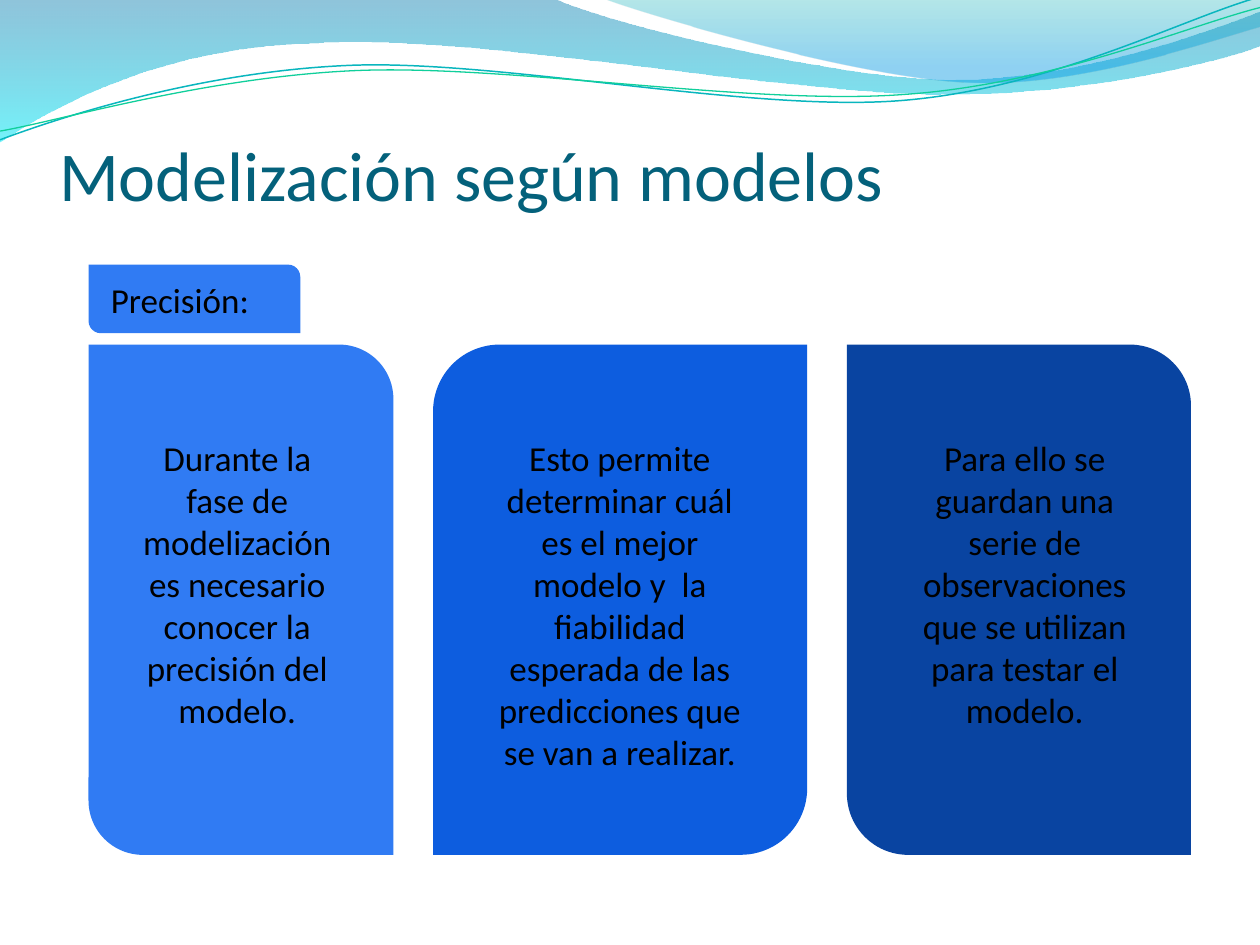
from dataclasses import dataclass

from lxml import etree
from pptx import Presentation
from pptx.dml.color import RGBColor
from pptx.enum.shapes import MSO_SHAPE as Preset
from pptx.enum.text import MSO_ANCHOR as Anchor, PP_ALIGN as Align
from pptx.oxml.ns import qn
from pptx.util import Pt

FONT = "Calibri"
TITLE_TEAL = RGBColor(0x04, 0x61, 0x7B)
BLACK = RGBColor(0, 0, 0)
LIGHT_BLUE = RGBColor(0x30, 0x7B, 0xF3)
MID_BLUE = RGBColor(0x0D, 0x5D, 0xDF)
DARK_BLUE = RGBColor(0x09, 0x44, 0xA1)
DEEP_SEA = RGBColor(0x00, 0x79, 0xAD)
CYAN = RGBColor(0x00, 0xE9, 0xF7)
LAGOON = RGBColor(0x00, 0xAB, 0xB4)
SKY = RGBColor(0x00, 0x99, 0xE4)
TEAL_LINE = RGBColor(0x09, 0xB6, 0xBE)
GREEN_LINE = RGBColor(0x10, 0xCF, 0x9B)

CORNER = 0.178
PANEL_LEFT, PANEL_TOP, PANEL_HEIGHT, PANEL_GAP = 50.6, 196.9, 291.6, 22.7
PANEL_TEXT_TOP = 242.3
PADDING = (7.2, 7.2, 7.2, 7.2)


@dataclass(frozen=True)
class Stop:
    position: int
    color: RGBColor
    opacity: int


@dataclass(frozen=True)
class Panel:
    width: float
    color: RGBColor
    corners: tuple[float, float]
    text_left: float
    text_width: float
    text_height: float
    text: str


# Outlines in points: a pair is a straight step, six numbers a cubic curve.
BACK_WAVE = [
    (0, 0), (316.8, -0.7),
    (342.7, 12.2, 478.1, 45.4, 545.8, 45.4),
    (614.2, 45.4, 689.8, 18.7, 720, 6.5),
    (720.7, 25.9),
    (707.8, 31.7, 626.4, 54.7, 537.1, 54),
    (447.8, 54, 275, 20.2, 185, 24.5),
    (92.9, 25.9, 33.1, 59.8, -0.7, 81.4),
    (0, 0),
]
FRONT_WAVE = [
    (344.9, -0.7),
    (366.5, 7.9, 491, 44.6, 553.7, 46.8),
    (616.3, 49.7, 691.9, 23, 720, 15.1),
    (720, 0), (344.9, -0.7),
]
TEAL_RIPPLE = [
    (0, 79.9),
    (34.6, 67, 113.8, 41, 199.4, 37.4),
    (284.4, 33.8, 427, 64.1, 513.4, 57.6),
    (599.8, 51.1, 675.4, 10.8, 718.6, -1.4),
]
GREEN_RIPPLE = [
    (0, 74.9),
    (33.8, 69.1, 118.1, 43.9, 203.8, 40.3),
    (290.2, 36.7, 429.8, 60.5, 516.2, 54),
    (601.9, 48.2, 677.5, 15.1, 720, 4.3),
]

PANELS = [
    Panel(174.2, LIGHT_BLUE, (0, CORNER), 70.8, 129.6, 228.2,
          "Durante la fase de modelización es necesario conocer la precisión "
          "del modelo."),
    Panel(213.8, MID_BLUE, (CORNER, 0), 274.3, 159.8, 225.4,
          "Esto permite determinar cuál es el mejor modelo y  la fiabilidad "
          "esperada de las predicciones que se van a realizar."),
    Panel(196.6, DARK_BLUE, (0, CORNER), 506.4, 158.4, 169.9,
          "Para ello se guardan una serie de observaciones que se utilizan "
          "para testar el modelo."),
]


def add_outline(slide, steps: list[tuple], close: bool):
    """Draw the straight steps, then bend those that are cubic curves."""
    start, *ends = [(Pt(step[-2]), Pt(step[-1])) for step in steps]
    builder = slide.shapes.build_freeform(*start)
    builder.add_line_segments(ends, close=close)
    outline = builder.convert_to_shape()
    outline.shadow.inherit = False

    segments = list(outline.element.iter(qn("a:lnTo")))
    for segment, step in zip(segments, steps[1:]):
        if len(step) == 2:
            continue
        segment.tag = qn("a:cubicBezTo")
        for i, (x, y) in enumerate((step[:2], step[2:4])):
            control = etree.Element(qn("a:pt"), x=str(Pt(x) - outline.left),
                                    y=str(Pt(y) - outline.top))
            segment.insert(i, control)
    return outline


def add_wave(slide, steps: list[tuple], stops: list[Stop]) -> None:
    """Draw a closed wave with a translucent top-to-bottom gradient."""
    wave = add_outline(slide, steps, True)
    wave.line.fill.background()
    gradient = etree.Element(qn("a:gradFill"), rotWithShape="1")
    stop_list = etree.SubElement(gradient, qn("a:gsLst"))
    for stop in stops:
        mark = etree.SubElement(stop_list, qn("a:gs"), pos=str(stop.position * 1000))
        color = etree.SubElement(mark, qn("a:srgbClr"), val=str(stop.color))
        etree.SubElement(color, qn("a:alpha"), val=str(stop.opacity * 1000))
    etree.SubElement(gradient, qn("a:lin"), ang="5400000", scaled="0")
    wave.element.spPr.find(qn("a:custGeom")).addnext(gradient)


def add_ripple(slide, steps: list[tuple], color: RGBColor, width: float) -> None:
    ripple = add_outline(slide, steps, False)
    ripple.fill.background()
    ripple.line.color.rgb = color
    ripple.line.width = Pt(width)


def add_block(slide, left: float, top: float, width: float, height: float,
              color: RGBColor, corners: tuple[float, float]) -> None:
    block = slide.shapes.add_shape(Preset.ROUND_2_DIAG_RECTANGLE,
                                   Pt(left), Pt(top), Pt(width), Pt(height))
    block.adjustments[0], block.adjustments[1] = corners
    block.shadow.inherit = False
    block.fill.solid()
    block.fill.fore_color.rgb = color
    block.line.fill.background()


def add_text(slide, left: float, top: float, width: float, height: float,
             text: str, size: float = 20, color: RGBColor = BLACK,
             align: Align = Align.LEFT, anchor: Anchor = Anchor.TOP,
             padding: tuple[float, float, float, float] = PADDING) -> None:
    frame = slide.shapes.add_textbox(Pt(left), Pt(top), Pt(width), Pt(height)).text_frame
    frame.word_wrap = True
    frame.vertical_anchor = anchor
    (frame.margin_left, frame.margin_top,
     frame.margin_right, frame.margin_bottom) = map(Pt, padding)
    paragraph = frame.paragraphs[0]
    paragraph.alignment = align
    run = paragraph.add_run()
    run.text = text
    run.font.name = FONT
    run.font.size = Pt(size)
    run.font.color.rgb = color


def main() -> None:
    deck = Presentation()
    deck.slide_width, deck.slide_height = Pt(720), Pt(540)
    slide = deck.slides.add_slide(deck.slide_layouts[6])

    add_wave(slide, BACK_WAVE, [Stop(0, DEEP_SEA, 44), Stop(100, CYAN, 55)])
    add_wave(slide, FRONT_WAVE,
             [Stop(0, LAGOON, 29), Stop(80, SKY, 44), Stop(100, SKY, 44)])
    add_ripple(slide, TEAL_RIPPLE, TEAL_LINE, 0.85)
    add_ripple(slide, GREEN_RIPPLE, GREEN_LINE, 0.75)

    add_text(slide, 33.8, 67.7, 648, 55.4, "Modelización según modelos", 40,
             TITLE_TEAL, anchor=Anchor.BOTTOM, padding=(0, 3.6, 0, 0))
    add_block(slide, PANEL_LEFT, 151.2, 121, 39.2, LIGHT_BLUE, (0, CORNER))
    add_text(slide, 56.2, 151.9, 128.9, 29.5, "Precisión:")

    left = PANEL_LEFT
    for panel in PANELS:
        add_block(slide, left, PANEL_TOP, panel.width, PANEL_HEIGHT,
                  panel.color, panel.corners)
        add_text(slide, panel.text_left, PANEL_TEXT_TOP, panel.text_width,
                 panel.text_height, panel.text, align=Align.CENTER)
        left += panel.width + PANEL_GAP

    deck.save("out.pptx")


if __name__ == "__main__":
    main()
